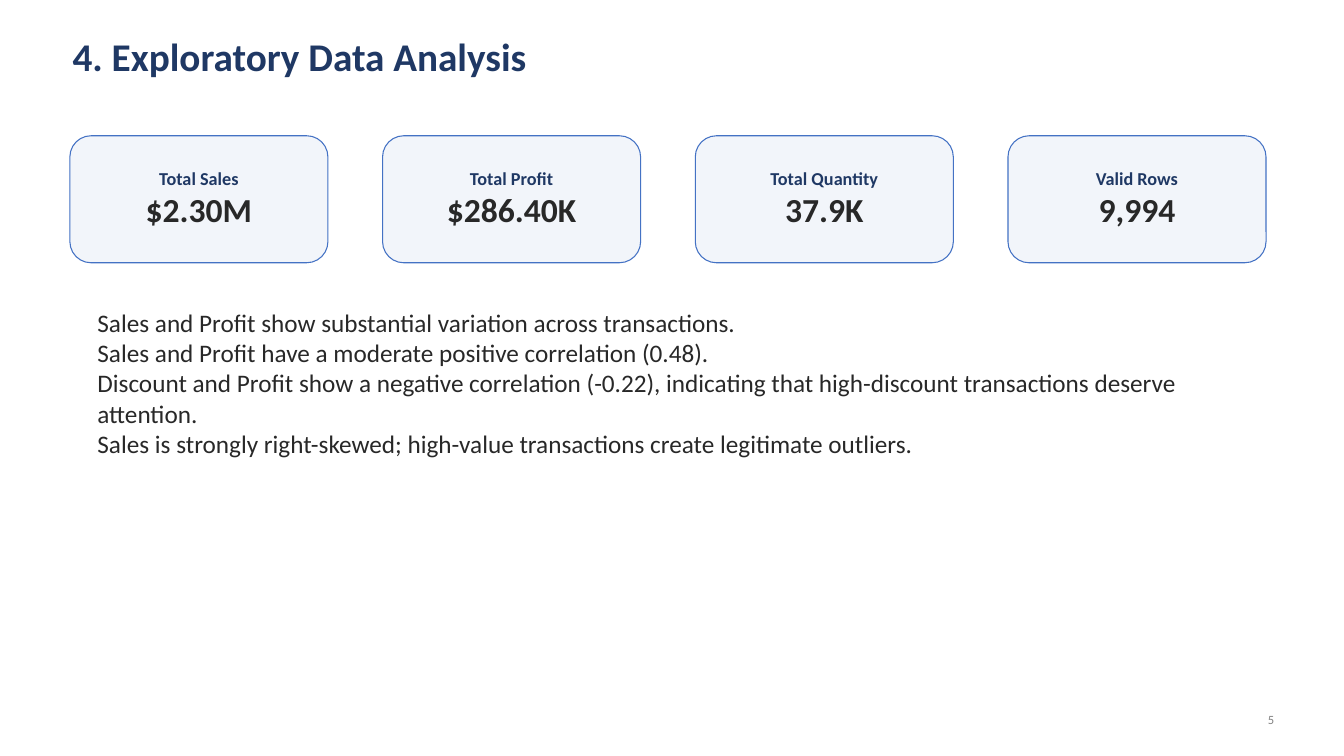
from pptx import Presentation
from pptx.dml.color import RGBColor
from pptx.enum.shapes import MSO_SHAPE
from pptx.enum.text import MSO_ANCHOR, PP_ALIGN
from pptx.util import Inches, Pt

ROUNDED = MSO_SHAPE.ROUNDED_RECTANGLE
MIDDLE = MSO_ANCHOR.MIDDLE
TOP = MSO_ANCHOR.TOP
LEFT, CENTER, RIGHT = PP_ALIGN.LEFT, PP_ALIGN.CENTER, PP_ALIGN.RIGHT

COLORS = {
    "navy": "1F3864",
    "blue": "4472C4",
    "card": "F2F5FA",
    "ink": "282828",
    "gray": "828282",
    "white": "FFFFFF",
}
STYLES = {
    "title": {"size": 42, "bold": True, "color": "navy"},
    "label": {"size": 19.5, "bold": True, "color": "navy"},
    "value": {"size": 36, "bold": True, "color": "ink"},
    "body": {"size": 27, "bold": False, "color": "ink"},
    "number": {"size": 13.5, "bold": False, "color": "gray"},
}
METRICS = [
    ("Total Sales", "$2.30M"),
    ("Total Profit", "$286.40K"),
    ("Total Quantity", "37.9K"),
    ("Valid Rows", "9,994"),
]
FINDINGS = [
    "Sales and Profit show substantial variation across transactions.",
    "Sales and Profit have a moderate positive correlation (0.48).",
    "Discount and Profit show a negative correlation (-0.22), indicating that "
    "high-discount transactions deserve attention.",
    "Sales is strongly right-skewed; high-value transactions create legitimate outliers.",
]


def rgb(name):
    """Return the named colour."""
    return RGBColor.from_string(COLORS[name])


def write(frame, lines, align=LEFT, anchor=TOP, margins=(0, 0, 0, 0)):
    """Fill a text frame with (text, style) lines."""
    left, top, right, bottom = map(Inches, margins)
    settings = {
        "word_wrap": True,
        "vertical_anchor": anchor,
        "margin_left": left,
        "margin_top": top,
        "margin_right": right,
        "margin_bottom": bottom,
    }
    for name, value in settings.items():
        setattr(frame, name, value)
    for index, (text, style_name) in enumerate(lines):
        style = STYLES[style_name]
        para = frame.add_paragraph() if index else frame.paragraphs[0]
        para.alignment = align
        para.line_spacing = Pt(style["size"] * 1.2)
        span = para.add_run()
        span.text = text
        font = {"name": "Calibri", "size": Pt(style["size"]), "bold": style["bold"]}
        for name, value in font.items():
            setattr(span.font, name, value)
        span.font.color.rgb = rgb(style["color"])


def add_text(page, box, lines, align=LEFT):
    """Place a text box without margins."""
    shape = page.shapes.add_textbox(*map(Inches, box))
    write(shape.text_frame, lines, align)


def add_card(page, box, label, value):
    """Place one rounded card with a label above its value."""
    card = page.shapes.add_shape(ROUNDED, *map(Inches, box))
    card.shadow.inherit = False
    card.fill.solid()
    card.fill.fore_color.rgb = rgb("card")
    card.line.color.rgb = rgb("blue")
    card.line.width = Pt(1.13)
    lines = [(label, "label"), (value, "value")]
    write(card.text_frame, lines, CENTER, MIDDLE, (0.06, 0.06, 0.06, 0.1))


def add_card_row(page, box, metrics, card_width):
    """Spread the metric cards evenly across the box."""
    left, top, width, height = box
    step = (width - card_width) / (len(metrics) - 1)
    for index, (label, value) in enumerate(metrics):
        add_card(page, (left + index * step, top, card_width, height), label, value)


def main():
    """Build the slide and save the deck."""
    deck = Presentation()
    deck.slide_width, deck.slide_height = Inches(20), Inches(11.25)
    page = deck.slides.add_slide(deck.slide_layouts[6])
    page.background.fill.solid()
    page.background.fill.fore_color.rgb = rgb("white")
    add_text(page, (1.08, 0.48, 17.81, 0.97), [("4. Exploratory Data Analysis", "title")])
    add_card_row(page, (1.04, 2.02, 17.8, 1.89), METRICS, 3.84)
    add_text(page, (1.45, 4.57, 17.06, 4.92), [(text, "body") for text in FINDINGS])
    add_text(page, (17.66, 10.6, 1.3, 0.31), [("5", "number")], RIGHT)
    deck.save("out.pptx")


if __name__ == "__main__":
    main()
